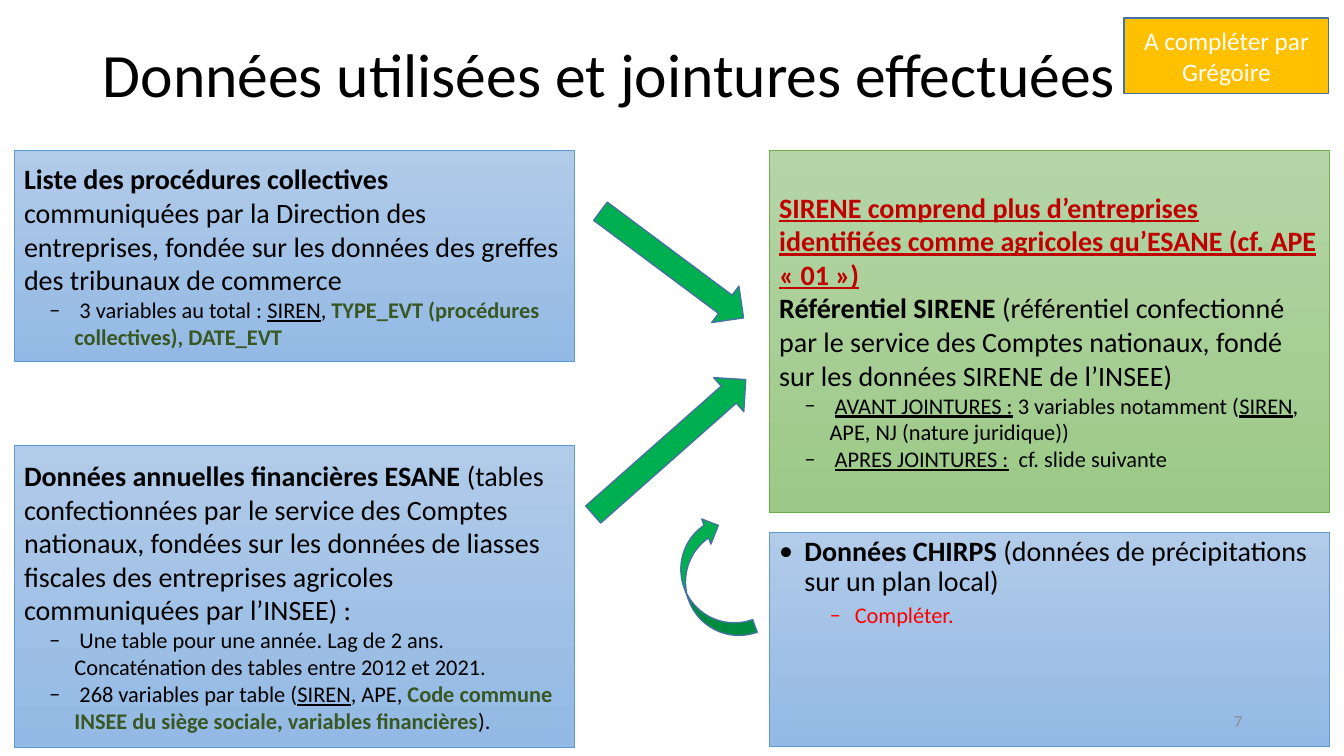
from dataclasses import dataclass

from lxml.etree import SubElement as Sub
from pptx import Presentation
from pptx.dml.color import RGBColor as Rgb
from pptx.enum.shapes import MSO_SHAPE as Kind
from pptx.enum.text import MSO_ANCHOR as Anchor, PP_ALIGN as Align
from pptx.oxml.ns import qn
from pptx.util import Pt

PX = 9144


@dataclass(frozen=True)
class Theme:
    font: str = "Calibri"
    head: int = 44
    lead: int = 20
    item: int = 16
    tag: int = 18
    page: int = 12
    black: str = "000000"
    white: str = "FFFFFF"
    grey: str = "8C8C8C"
    dark: str = "385723"
    warn: str = "C00000"
    red: str = "FF0000"
    arrow: str = "00B050"
    amber: str = "FFC000"
    edge: str = "43739E"
    blue: tuple = ("B1CBE9", "93B9E4", "5B9BD5")
    green: tuple = ("B5D5A7", "9CC987", "70AD47")


T = Theme()


def color(code):
    """Turn a hex code into a colour."""
    return Rgb.from_string(code)


def scale(box):
    """Turn px lengths into EMU."""
    return [n * PX for n in box]


def style(run, size, tint, marks=""):
    """Format a run; marks may hold b for bold and u for underline."""
    font = run.font
    font.name, font.size = T.font, Pt(size)
    font.color.rgb = color(tint)
    font.bold, font.underline = "b" in marks, "u" in marks


def bullet(para, sign, left):
    """Give a paragraph a hanging bullet."""
    prop = para._p.get_or_add_pPr()
    prop.set("marL", str(left * PX))
    prop.set("indent", str(-25 * PX))
    Sub(prop, qn("a:buFont"), typeface=T.font)
    Sub(prop, qn("a:buChar"), char=sign)


def fill_para(para, parts, size):
    """Write (text, marks, colour) parts into a paragraph."""
    for text, marks, tint in parts:
        run = para.add_run()
        run.text = text
        style(run, size, tint, marks)


def label(slide, box, text, size, tint, align=Align.LEFT):
    """Add a plain text box with one line."""
    shape = slide.shapes.add_textbox(*scale(box))
    write(shape, text, size, tint, align)


def write(shape, text, size, tint, align):
    """Put one centred-in-height paragraph in a shape."""
    frame = shape.text_frame
    frame.word_wrap, frame.vertical_anchor = True, Anchor.MIDDLE
    frame.text = text
    para = frame.paragraphs[0]
    para.alignment = align
    style(para.runs[0], size, tint)


def block(slide, kind, box, fill, turn=0):
    """Add a flat outlined shape."""
    shape = slide.shapes.add_shape(kind, *scale(box))
    shape.shadow.inherit = False
    shape.rotation = turn
    shape.fill.solid()
    shape.fill.fore_color.rgb = color(fill)
    shape.line.color.rgb = color(T.edge)
    shape.line.width = Pt(1)
    return shape


def panel(slide, box, tints, leads, items, listed=False):
    """Add a shaded panel of lead paragraphs and dashed items."""
    top, base, edge = tints
    shape = block(slide, Kind.RECTANGLE, box, top)
    shape.fill.gradient()
    shape.fill.gradient_angle = 270
    for stop, tint in zip(shape.fill.gradient_stops, (top, base)):
        stop.color.rgb = color(tint)
    shape.line.color.rgb = color(edge)
    shape.line.width = Pt(0.5)
    frame = shape.text_frame
    frame.word_wrap = True
    frame.vertical_anchor = Anchor.TOP if listed else Anchor.MIDDLE
    for num, parts in enumerate(leads + items):
        para = frame.add_paragraph() if num else frame.paragraphs[0]
        para.alignment = Align.LEFT
        deep = num >= len(leads)
        if deep:
            para.level = 1
            bullet(para, "‒", 75 if listed else 50)
        elif listed:
            bullet(para, "•", 25)
        if listed:
            para.line_spacing = 0.9
            if num:
                para.space_before = Pt(5)
        fill_para(para, parts, T.item if deep else T.lead)


def main():
    """Build the slide and save it."""
    deck = Presentation()
    deck.slide_width, deck.slide_height = scale((1333, 750))
    slide = deck.slides.add_slide(deck.slide_layouts[6])
    siren = ("SIREN", "u", T.black)

    label(slide, (92, 0, 1150, 145),
          "Données utilisées et jointures effectuées", T.head, T.black)
    panel(slide, (763, 528, 556, 213), T.blue,
          [[("Données CHIRPS", "b", T.black),
            (" (données de précipitations sur un plan local)", "", T.black)]],
          [[("Compléter.", "", T.red)]], listed=True)
    panel(slide, (14, 442, 556, 299), T.blue,
          [[("Données annuelles financières ESANE ", "b", T.black),
            ("(tables confectionnées par le service des Comptes nationaux, "
             "fondées sur les données de liasses fiscales des entreprises "
             "agricoles communiquées par l’INSEE) :", "", T.black)]],
          [[(" Une table pour une année. Lag de 2 ans. Concaténation des "
             "tables entre 2012 et 2021.", "", T.black)],
           [(" 268 variables par table (", "", T.black), siren,
            (", APE, ", "", T.black),
            ("Code commune INSEE du siège sociale, variables financières",
             "b", T.dark), (").", "", T.black)]])
    panel(slide, (14, 149, 556, 210), T.blue,
          [[("Liste des procédures collectives ", "b", T.black),
            ("communiquées par la Direction des entreprises, fondée sur les "
             "données des greffes des tribunaux de commerce", "", T.black)]],
          [[(" 3 variables au total : ", "", T.black), siren,
            (", ", "", T.black),
            ("TYPE_EVT (procédures collectives), DATE_EVT", "b", T.dark)]])
    panel(slide, (763, 149, 556, 359), T.green,
          [[("SIRENE comprend plus d’entreprises identifiées comme agricoles "
             "qu’ESANE (cf. APE « 01 »)", "bu", T.warn)],
           [("Référentiel SIRENE ", "b", T.black),
            ("(référentiel confectionné par le service des Comptes nationaux, "
             "fondé sur les données SIRENE de l’INSEE)", "", T.black)]],
          [[(" ", "", T.black), ("AVANT JOINTURES :", "u", T.black),
            (" 3 variables notamment (", "", T.black), siren,
            (", APE, NJ (nature juridique))", "", T.black)],
           [(" ", "", T.black), ("APRES JOINTURES :", "u", T.black),
            ("  cf. slide suivante", "", T.black)]])

    for kind, box, turn in (
            (Kind.RIGHT_ARROW, (578, 240, 177, 45), 36.7),
            (Kind.RIGHT_ARROW, (563, 421, 202, 45), 318.5),
            (Kind.CURVED_LEFT_ARROW, (678, 514, 53, 126), 160)):
        block(slide, kind, box, T.arrow, turn)

    label(slide, (942, 695, 300, 40), "7", T.page, T.grey, Align.RIGHT)
    tag = block(slide, Kind.RECTANGLE, (1115, 18, 203, 75), T.amber)
    write(tag, "A compléter par Grégoire", T.tag, T.white, Align.CENTER)
    deck.save("out.pptx")


if __name__ == "__main__":
    main()
